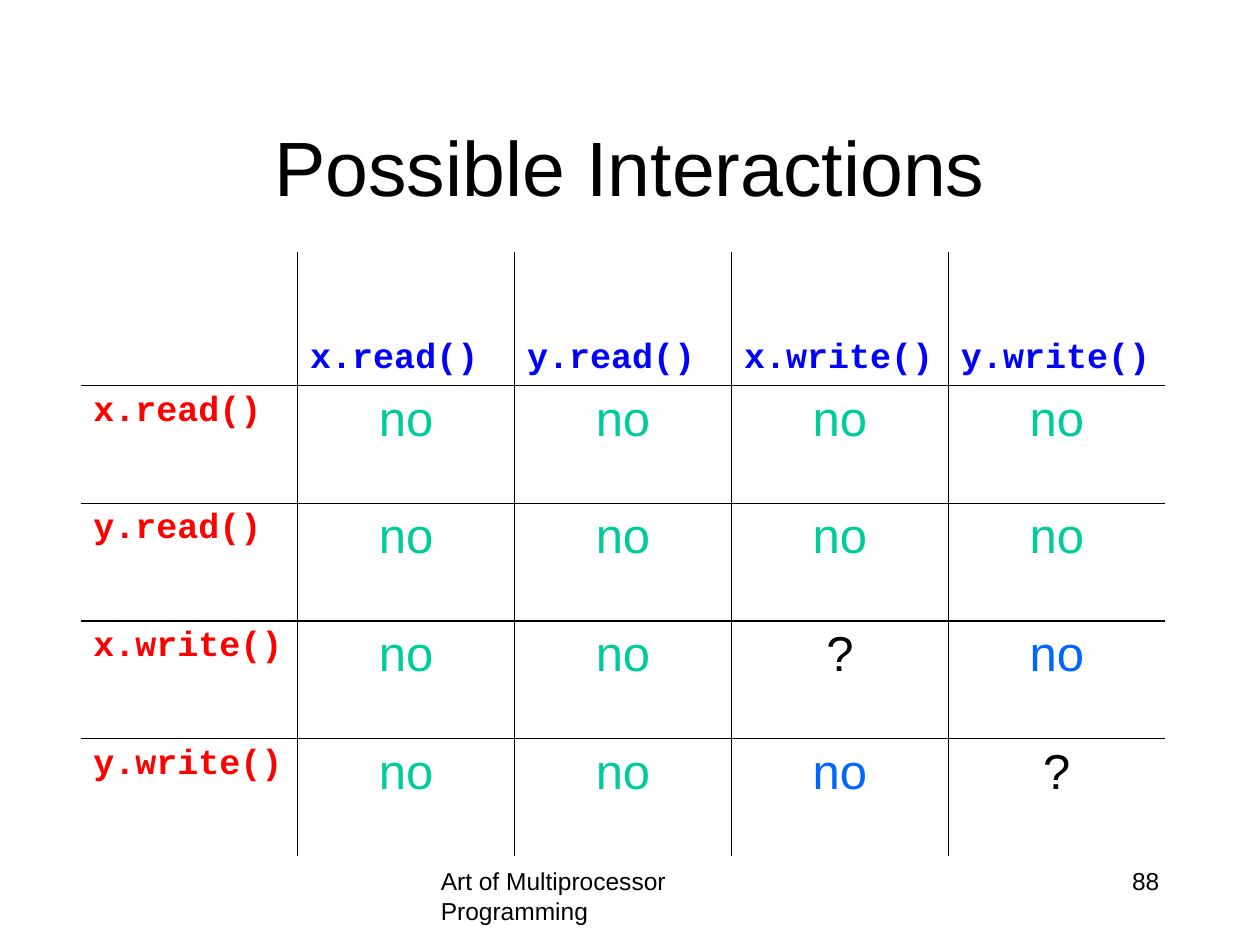
from pptx import Presentation
from pptx.dml.color import RGBColor as Rgb
from pptx.enum.text import MSO_ANCHOR as Anchor, PP_ALIGN as Align
from pptx.oxml import parse_xml
from pptx.oxml.ns import nsdecls
from pptx.util import Inches, Pt

COLORS = {"ink": "000000", "column": "0000FF", "row": "FF0000",
          "safe": "00CC99", "apart": "0066FF"}
CALLS = ["x.read()", "y.read()", "x.write()", "y.write()"]
# Each answer is a word and its colour
NO, APART, OPEN = ("no", "safe"), ("no", "apart"), ("?", "ink")
ANSWERS = [
    [NO, NO, NO, NO],
    [NO, NO, NO, NO],
    [NO, NO, OPEN, APART],
    [NO, NO, APART, OPEN],
]


class SlideBuilder:
    """Holds the style and the current slide."""
    sans, mono = "Arial", "Courier New"
    width, height = Inches(10), Inches(7.5)

    def __init__(self, deck):
        deck.slide_width, deck.slide_height = self.width, self.height
        self.page = deck.slides.add_slide(deck.slide_layouts[5])

    def area(self, left, top, width, height):
        """Turn shares of the slide into lengths."""
        return (int(left * self.width), int(top * self.height),
                int(width * self.width), int(height * self.height))

    def set_text(self, frame, text, size, color="ink", align=Align.LEFT, code=False):
        para = frame.paragraphs[0]
        para.text = text
        para.alignment = align
        font = para.font
        font.name = self.mono if code else self.sans
        font.size, font.bold = Pt(size), code
        font.color.rgb = Rgb.from_string(COLORS[color])

    def title(self, text, *shares):
        box = self.page.shapes.title
        box.left, box.top, box.width, box.height = self.area(*shares)
        box.text_frame.vertical_anchor = Anchor.MIDDLE
        self.set_text(box.text_frame, text, 44, align=Align.CENTER)

    def footer(self, text, *shares, align=Align.LEFT):
        box = self.page.shapes.add_textbox(*self.area(*shares))
        box.text_frame.word_wrap = True
        self.set_text(box.text_frame, text, 14, align=align)

    def rule(self, cell, *sides):
        """Draw the inner borders and clear the outer ones."""
        props = cell._tc.get_or_add_tcPr()
        for index, side in enumerate(("lnL", "lnR", "lnT", "lnB")):
            paint = "<a:noFill/>"
            if side in sides:
                paint = (f'<a:solidFill><a:srgbClr val="{COLORS["ink"]}"/>'
                         "</a:solidFill>")
            line = parse_xml(f'<a:{side} {nsdecls("a")} w="{Pt(1)}">{paint}</a:{side}>')
            props.insert(index, line)

    def matrix(self, calls, answers, left, top, width, head, body):
        count = len(calls) + 1
        shares = (left, top, width, head + body * len(calls))
        table = self.page.shapes.add_table(count, count, *self.area(*shares)).table
        table.first_row = table.horz_banding = False
        for index, row in enumerate(table.rows):
            row.height = int((body if index else head) * self.height)

        # Plain cells with a grid between them
        for r in range(count):
            for c in range(count):
                cell = table.cell(r, c)
                cell.fill.background()
                inner = {"lnL": c > 0, "lnR": c < count - 1,
                         "lnT": r > 0, "lnB": r < count - 1}
                self.rule(cell, *(side for side, drawn in inner.items() if drawn))

        # Calls along both edges
        for index, call in enumerate(calls, 1):
            heading = table.cell(0, index)
            heading.vertical_anchor = Anchor.BOTTOM
            self.set_text(heading.text_frame, call, 20, "column", code=True)
            self.set_text(table.cell(index, 0).text_frame, call, 20, "row", code=True)

        # Answers inside
        for r, line in enumerate(answers, 1):
            for c, (word, color) in enumerate(line, 1):
                self.set_text(table.cell(r, c).text_frame, word, 28, color, Align.CENTER)


def main():
    deck = Presentation()
    slide = SlideBuilder(deck)
    slide.footer("Art of Multiprocessor Programming", 0.34, 0.91, 0.32, 0.07)
    slide.footer("88", 0.72, 0.91, 0.21, 0.07, align=Align.RIGHT)
    slide.title("Possible Interactions", 0.075, 0.09, 0.85, 0.17)
    slide.matrix(CALLS, ANSWERS, left=0.064, top=0.267, width=0.861,
                 head=0.141, body=0.1246)
    deck.save("out.pptx")


if __name__ == "__main__":
    main()
